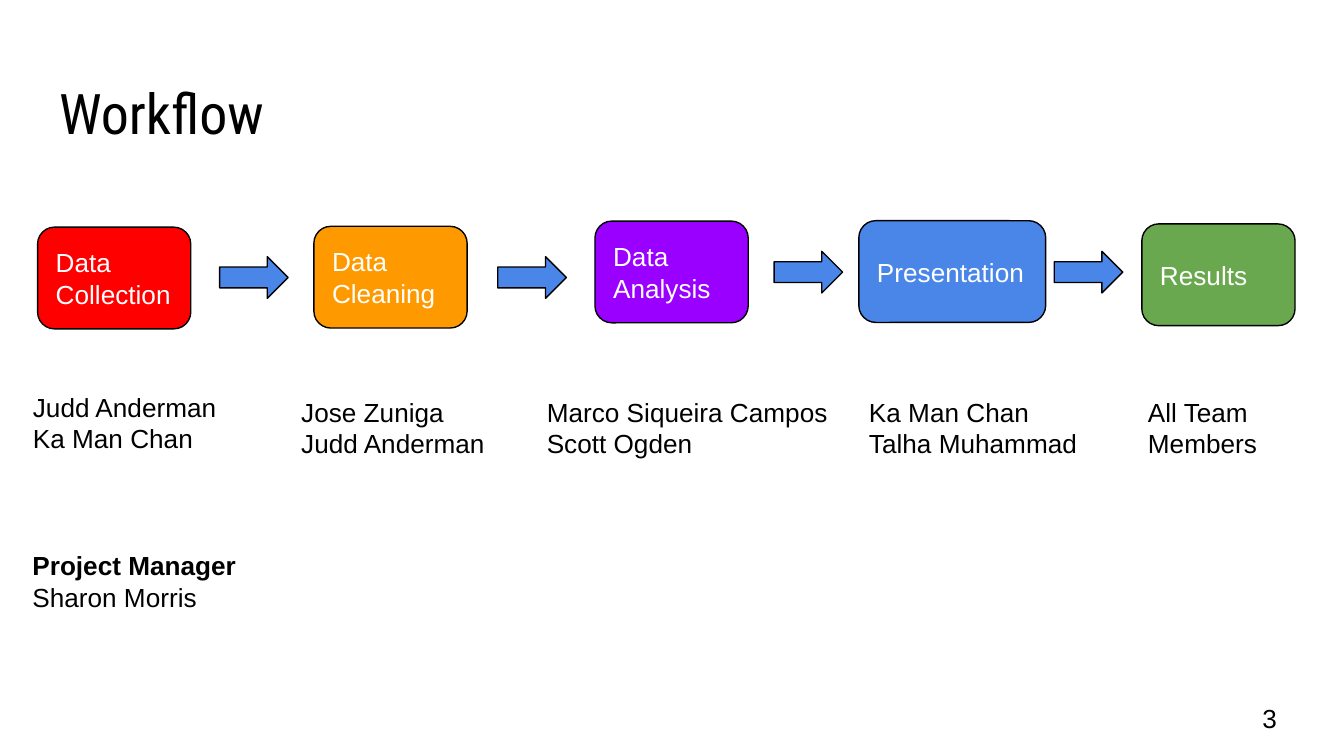
"""Build the project workflow slide: five steps, arrows and the people on each."""
from pptx import Presentation
from pptx.dml.color import RGBColor
from pptx.enum.shapes import MSO_SHAPE as Kind
from pptx.enum.text import MSO_ANCHOR as Anchor, MSO_AUTO_SIZE as Fit, PP_ALIGN as Align
from pptx.util import Inches, Pt

deck = Presentation()
deck.slide_width = Inches(10)
deck.slide_height = deck.slide_width * 9 // 16
unit = deck.slide_width / 100
slide = deck.slides.add_slide(deck.slide_layouts[5])
shapes = slide.shapes
color = RGBColor.from_string


def grid(*cells):
    return [round(cell * unit) for cell in cells]


def write(shape, lines, ink="000000", size=14, font="Arial", anchor=Anchor.TOP, align=Align.LEFT):
    frame = shape.text_frame
    frame.word_wrap, frame.auto_size = True, Fit.NONE
    frame.vertical_anchor = anchor
    frame.margin_left = frame.margin_right = Inches(0.1)
    frame.margin_top = frame.margin_bottom = Inches(0.1)
    for row, line in enumerate(lines):
        para = frame.paragraphs[0] if row == 0 else frame.add_paragraph()
        para.alignment = align
        for text, bold in line:
            run = para.add_run()
            run.text = text
            run.font.name, run.font.size, run.font.bold = font, Pt(size), bold
            run.font.color.rgb = color(ink)


title = shapes.title
title.left, title.top, title.width, title.height = grid(3.4, 4.87, 93.2, 6.3)
write(title, [[("Workflow", False)]], size=30, font="Roboto Condensed")

BOX, ARROW = Kind.FLOWCHART_ALTERNATE_PROCESS, Kind.RIGHT_ARROW
BLUE = "4A86E8"
steps = [
    ("Data Collection", 2.8, 16.9, 11.4, "FF0000", Align.LEFT),
    ("Data Cleaning", 23.36, 16.84, 11.4, "FF9900", Align.LEFT),
    ("Data Analysis", 44.27, 16.45, 11.4, "9900FF", Align.JUSTIFY),
    ("Presentation", 63.9, 16.42, 13.9, BLUE, Align.JUSTIFY),
    ("Results", 84.96, 16.66, 11.4, "6AA84F", Align.LEFT),
]
arrows = [(16.34, 19.1), (37.04, 19.1), (57.6, 18.7), (78.44, 18.7)]
parts = [(BOX, left, top, wide, 7.57, fill, name, align)
         for name, left, top, wide, fill, align in steps]
parts += [(ARROW, left, top, 5.1, 3.1, BLUE, "", Align.LEFT) for left, top in arrows]

for kind, left, top, wide, high, fill, name, align in parts:
    shape = shapes.add_shape(kind, *grid(left, top, wide, high))
    shape.shadow.inherit = False
    shape.fill.solid()
    shape.fill.fore_color.rgb = color(fill)
    shape.line.color.rgb = color("000000")
    shape.line.width = Pt(0.75)
    if name:
        write(shape, [[(name, False)]], "FFFFFF", anchor=Anchor.MIDDLE, align=align)

teams = [
    (1.46, 28.1, 17.9, 6.5, ["Judd Anderman", "Ka Man Chan"]),
    (21.43, 28.5, 16.4, 6.5, ["Jose Zuniga", "Judd Anderman"]),
    (39.7, 28.5, 23.6, 9.3, ["Marco Siqueira Campos", "Scott Ogden"]),
    (63.67, 28.5, 17.9, 6.5, ["Ka Man Chan", "Talha Muhammad"]),
    (84.43, 28.5, 12, 9.3, ["All Team Members"]),
]
for left, top, wide, high, names in teams:
    box = shapes.add_textbox(*grid(left, top, wide, high))
    write(box, [[(name, False)] for name in names])

lead = shapes.add_textbox(*grid(1.43, 39.9, 19.3, 6.5))
write(lead, [[("Project Manager", True), (" Sharon Morris", False)]])

page = shapes.add_textbox(*grid(92.94, 51.3, 6, 4.3))
write(page, [[("3", False)]], anchor=Anchor.MIDDLE)

deck.save("out.pptx")
